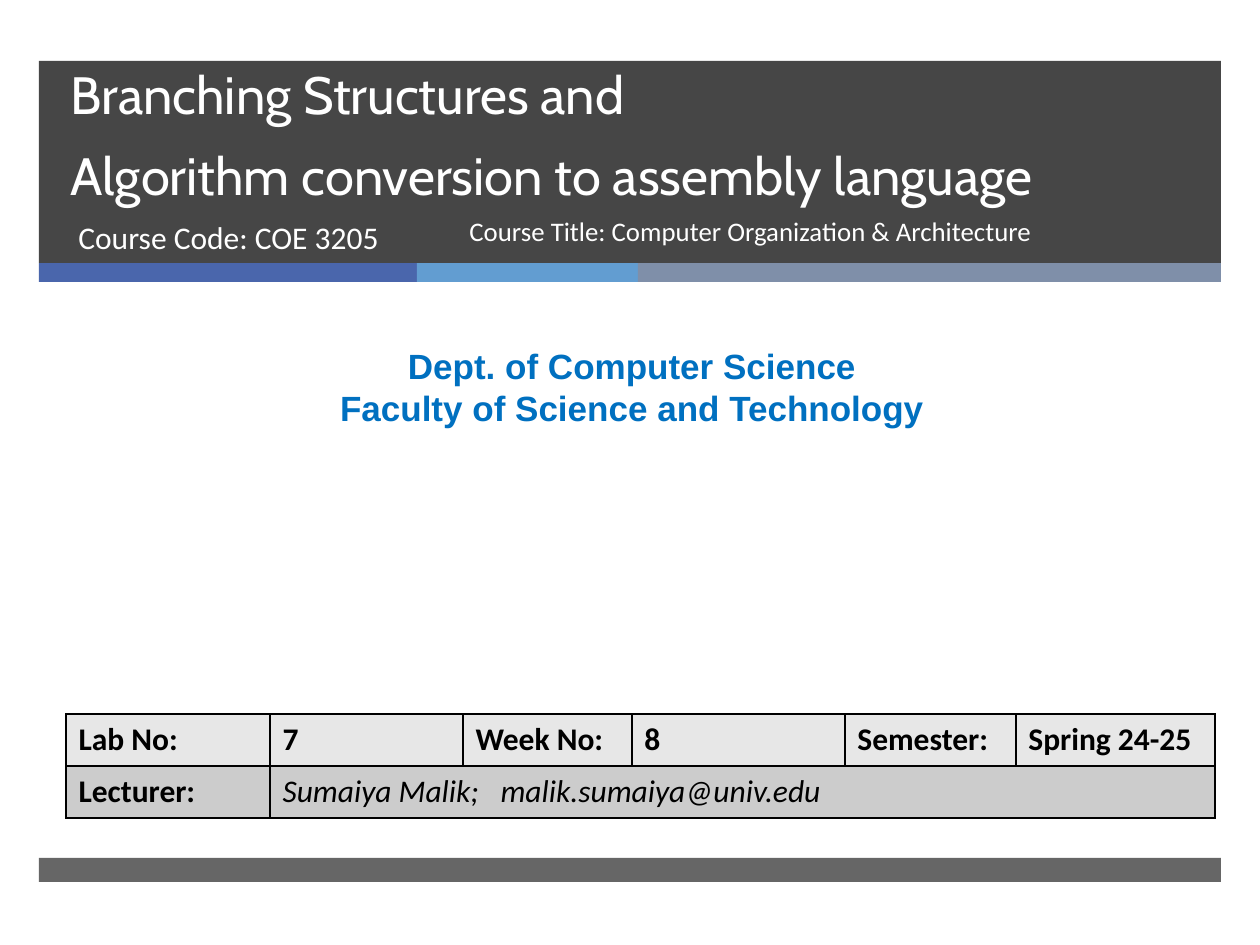
"""Build the opening slide of a lab on branching structures."""
from lxml.etree import SubElement
from pptx import Presentation
from pptx.dml.color import RGBColor
from pptx.enum.shapes import MSO_SHAPE
from pptx.enum.text import MSO_ANCHOR, MSO_AUTO_SIZE, PP_ALIGN
from pptx.oxml.ns import qn
from pptx.util import Pt

PX = 914400 / 126
DARK = RGBColor(0x26, 0x26, 0x26)
INDIGO = RGBColor(0x4A, 0x66, 0xAC)
SKY = RGBColor(0x62, 0x9D, 0xD1)
SLATE = RGBColor(0x7F, 0x8F, 0xA9)
BLUE = RGBColor(0x00, 0x70, 0xC0)
WHITE = RGBColor(0xFF, 0xFF, 0xFF)
BLACK = RGBColor(0, 0, 0)
LIGHT_ROW = RGBColor(0xE7, 0xE7, 0xE7)
DARK_ROW = RGBColor(0xCC, 0xCC, 0xCC)

BARS = [
    ((39, 61, 1182, 202), DARK, 85),
    ((39, 263, 378, 19), INDIGO, 100),
    ((417, 263, 221, 19), SKY, 100),
    ((638, 263, 583, 19), SLATE, 100),
    ((39, 858, 1182, 24), DARK, 70),
]
TITLE = "Branching Structures and\vAlgorithm conversion to assembly language"
COURSE_CODE = "Course Code: COE 3205"
COURSE_TITLE = "Course Title: Computer Organization & Architecture"
DEPARTMENT = ["Dept. of Computer Science", "Faculty of Science and Technology"]
DETAILS = [
    ["Lab No:", "7", "Week No:", "8", "Semester:", "Spring 24-25"],
    ["Lecturer:", "Sumaiya Malik;\tmalik.sumaiya@univ.edu"],
]
COLUMN_WIDTHS = [204, 193, 169, 213, 171, 199]
ROW_HEIGHT = 52
EMAIL_TAB = 218


def px(length):
    return round(length * PX)


def place(area):
    return [px(length) for length in area]


def style(para, size, name, color, bold=False, italic=False):
    font = para.font
    font.size, font.name, font.bold, font.italic = Pt(size), name, bold, italic
    font.color.rgb = color


def add_bar(page, area, color, opacity):
    bar = page.shapes.add_shape(MSO_SHAPE.RECTANGLE, *place(area))
    bar.shadow.inherit = False
    bar.line.fill.background()
    bar.fill.solid()
    bar.fill.fore_color.rgb = color
    if opacity < 100:
        shade = bar.fill._xPr.find(".//" + qn("a:srgbClr"))
        SubElement(shade, qn("a:alpha"), val=str(opacity * 1000))


def add_text(page, area, lines, size, name, color, bold=False,
             align=PP_ALIGN.LEFT, spacing=None):
    frame = page.shapes.add_textbox(*place(area)).text_frame
    frame.word_wrap = True
    frame.text = "\n".join(lines)
    for para in frame.paragraphs:
        para.alignment, para.line_spacing = align, spacing
        style(para, size, name, color, bold)


def add_title(page):
    title = page.shapes.title
    title.left, title.top, title.width, title.height = place((58, 61, 1076, 151))
    frame = title.text_frame
    frame.text = TITLE
    frame.word_wrap = True
    frame.auto_size = MSO_AUTO_SIZE.NONE
    frame.vertical_anchor = MSO_ANCHOR.BOTTOM
    para = frame.paragraphs[0]
    para.alignment, para.line_spacing = PP_ALIGN.LEFT, Pt(46)
    style(para, 30, "Cabin", WHITE)
    title.element.getparent().append(title.element)


def outline(cell):
    properties = cell._tc.get_or_add_tcPr()
    for position, side in enumerate(("a:lnL", "a:lnR", "a:lnT", "a:lnB")):
        line = SubElement(properties, qn(side), w=str(Pt(1)))
        fill = SubElement(line, qn("a:solidFill"))
        SubElement(fill, qn("a:srgbClr"), val=str(BLACK))
        properties.insert(position, line)


def add_details(page):
    area = (66, 714, sum(COLUMN_WIDTHS), ROW_HEIGHT * len(DETAILS))
    table = page.shapes.add_table(len(DETAILS), len(COLUMN_WIDTHS), *place(area)).table
    for column, width in zip(table.columns, COLUMN_WIDTHS):
        column.width = px(width)
    for row, color in zip(table.rows, (LIGHT_ROW, DARK_ROW)):
        row.height = px(ROW_HEIGHT)
        for cell in row.cells:
            cell.fill.solid()
            cell.fill.fore_color.rgb = color
            outline(cell)
    lecturer = table.cell(1, 1)
    lecturer.merge(table.cell(1, len(COLUMN_WIDTHS) - 1))
    for row, texts in enumerate(DETAILS):
        for column, text in enumerate(texts):
            cell = table.cell(row, column)
            cell.text = text
            person = (row, column) == (1, 1)
            style(cell.text_frame.paragraphs[0], 18, "Calibri", BLACK,
                  bold=not person, italic=person)
    properties = lecturer.text_frame.paragraphs[0]._p.get_or_add_pPr()
    tabs = SubElement(properties, qn("a:tabLst"))
    SubElement(tabs, qn("a:tab"), pos=str(px(EMAIL_TAB)), algn="l")
    properties.insert(0, tabs)


def main():
    deck = Presentation()
    deck.slide_width, deck.slide_height = px(1260), px(945)
    page = deck.slides.add_slide(deck.slide_layouts.get_by_name("Title Only"))
    for bar in BARS:
        add_bar(page, *bar)
    add_title(page)
    add_text(page, (66, 212, 384, 67), [COURSE_CODE], 18, "Calibri", WHITE)
    add_text(page, (10, 338, 1244, 97), DEPARTMENT, 20, "Arial", BLUE,
             bold=True, align=PP_ALIGN.CENTER)
    add_details(page)
    add_text(page, (457, 212, 591, 67), [COURSE_TITLE], 15.3, "Calibri", WHITE,
             spacing=0.9)
    deck.save("out.pptx")


if __name__ == "__main__":
    main()
